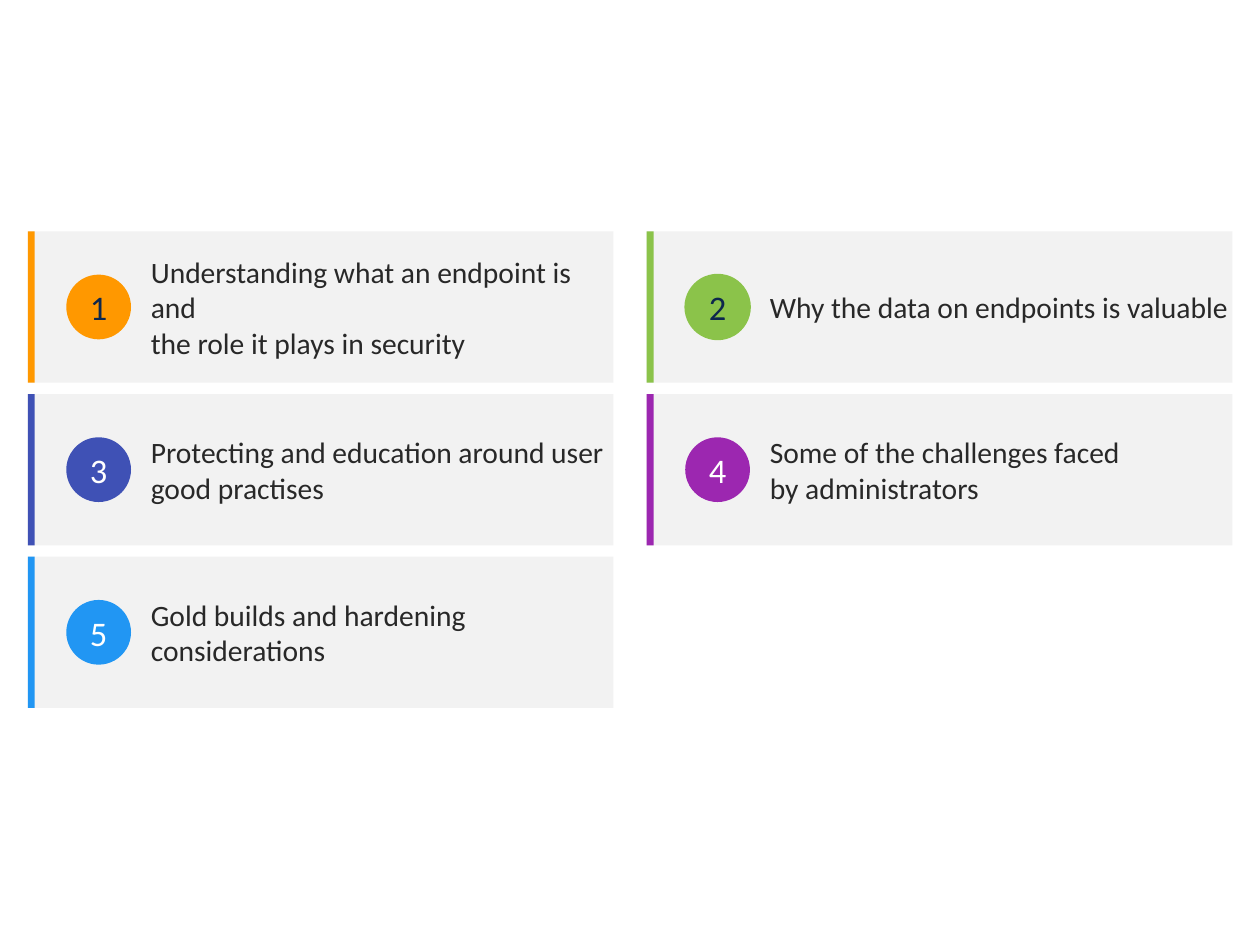
from pptx import Presentation
from pptx.dml.color import RGBColor
from pptx.enum.shapes import MSO_SHAPE
from pptx.enum.text import MSO_ANCHOR, MSO_AUTO_SIZE, PP_ALIGN
from pptx.util import Pt

TOPICS = [
    ("Understanding what an endpoint is and \nthe role it plays in security", 3, "FF9800", "0D274D", 52.6),
    ("Why the data on endpoints is valuable", 1, "8BC34A", "0D274D", 54),
    ("Protecting and education around user \ngood practises", 2, "3F51B5", "FFFFFF", 52.6),
    ("Some of the challenges faced \nby administrators", 2, "9C27B0", "FFFFFF", 52.6),
    ("Gold builds and hardening considerations", 2, "2196F3", "FFFFFF", 52.6),
]
GRID_LEFT, GRID_TOP = 22.6, 188
COLUMN_STEP, ROW_STEP = 503, 132.2
CARD_WIDTH, CARD_HEIGHT = 476, 123
BAR_WIDTH = 5.6
BADGE_CENTER = 57.6
TEXT_INDENT, TEXT_WIDTH, LINE_HEIGHT = 100, 376.6, 29


def color(code):
    return RGBColor.from_string(code)


class TopicSlide:
    font_name = "Calibri"
    card_fill = "F2F2F2"
    text_color = "282828"
    text_size = 24
    number_size = 28

    def __init__(self, deck):
        self.page = deck.slides.add_slide(deck.slide_layouts[6])

    def shape(self, parent, kind, left, top, width, height, fill):
        shape = parent.shapes.add_shape(kind, Pt(left), Pt(top), Pt(width), Pt(height))
        shape.shadow.inherit = False
        shape.fill.solid()
        shape.fill.fore_color.rgb = color(fill)
        shape.line.fill.background()

    def text(self, parent, left, middle, width, height, words, size, ink,
             align=PP_ALIGN.LEFT, space_before=0):
        box = parent.shapes.add_textbox(Pt(left), Pt(middle - height / 2), Pt(width), Pt(height))
        frame = box.text_frame
        frame.word_wrap = True
        frame.auto_size = MSO_AUTO_SIZE.SHAPE_TO_FIT_TEXT
        frame.vertical_anchor = MSO_ANCHOR.MIDDLE
        frame.margin_left = frame.margin_right = frame.margin_top = frame.margin_bottom = 0
        para = frame.paragraphs[0]
        para.text = words
        para.alignment = align
        para.space_before = Pt(space_before)
        para.font.name = self.font_name
        para.font.size = Pt(size)
        para.font.color.rgb = color(ink)

    def badge(self, center, middle, diameter, number, fill, ink):
        group = self.page.shapes.add_group_shape()
        radius = diameter / 2
        self.shape(group, MSO_SHAPE.OVAL, center - radius, middle - radius, diameter, diameter, fill)
        self.text(group, center - 19, middle, 38, 35, str(number), self.number_size, ink, PP_ALIGN.CENTER)

    def card(self, left, top, number, words, lines, accent, ink, diameter):
        middle = top + CARD_HEIGHT / 2
        self.shape(self.page, MSO_SHAPE.RECTANGLE, left, top, CARD_WIDTH, CARD_HEIGHT, self.card_fill)
        self.text(self.page, left + TEXT_INDENT, middle, TEXT_WIDTH, lines * LINE_HEIGHT,
                  words, self.text_size, self.text_color, space_before=17)
        self.badge(left + BADGE_CENTER, middle, diameter, number, accent, ink)
        self.shape(self.page, MSO_SHAPE.RECTANGLE, left, top, BAR_WIDTH, CARD_HEIGHT, accent)


def main():
    deck = Presentation()
    deck.slide_width, deck.slide_height = Pt(1024), Pt(768)
    slide = TopicSlide(deck)
    for index, topic in enumerate(TOPICS):
        row, column = divmod(index, 2)
        slide.card(GRID_LEFT + column * COLUMN_STEP, GRID_TOP + row * ROW_STEP, index + 1, *topic)
    deck.save("out.pptx")


if __name__ == "__main__":
    main()
